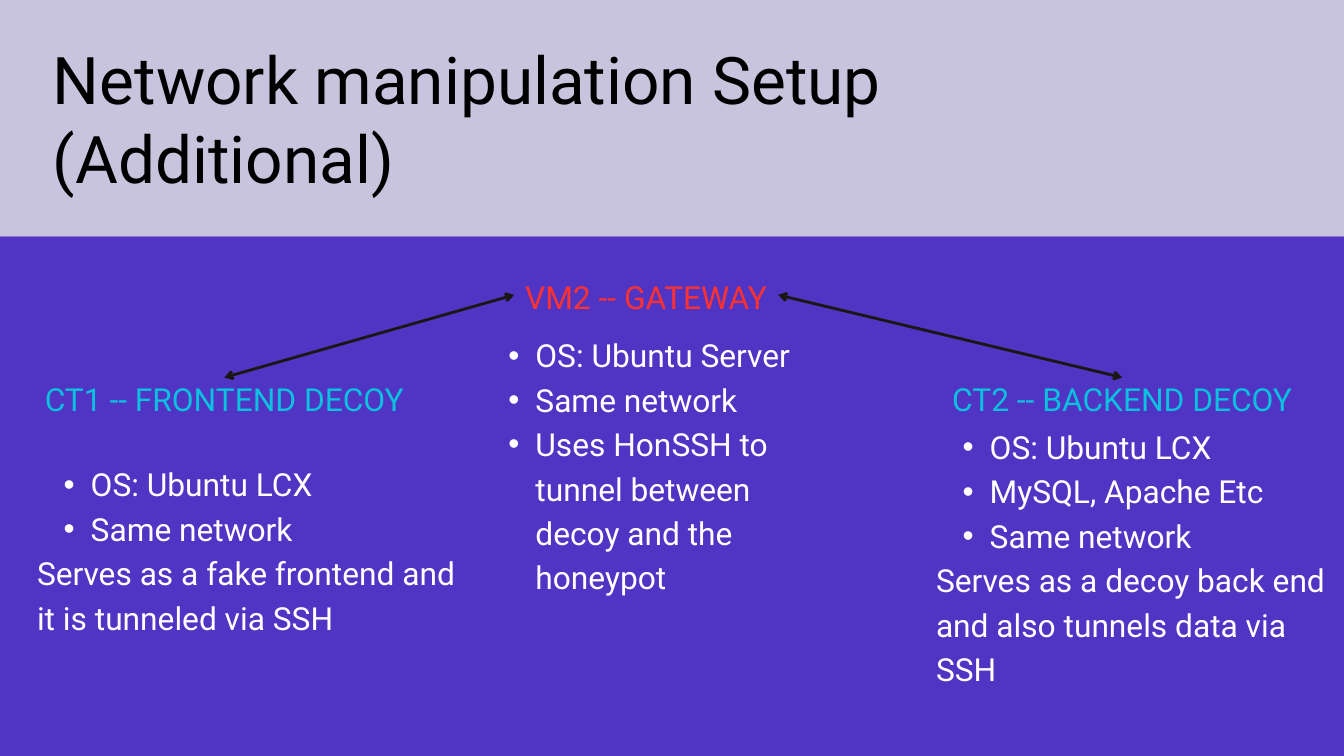
from dataclasses import dataclass

import pptx
import pptx.dml.color
import pptx.enum.shapes
import pptx.enum.text
import pptx.oxml.ns
import pptx.util
from lxml import etree

Cm = pptx.util.Cm
Pt = pptx.util.Pt
RGB = pptx.dml.color.RGBColor.from_string
qn = pptx.oxml.ns.qn
PP_ALIGN = pptx.enum.text.PP_ALIGN


@dataclass(frozen=True)
class Theme:
    font: str = "Roboto"
    backdrop: str = "5034C4"
    band: str = "C9C4DD"
    title: str = "000000"
    body: str = "FFFFFF"
    decoy: str = "0CC0DF"
    gateway: str = "FF3131"
    arrow: str = "181712"
    title_size: float = 70.4
    title_spacing: float = 84.5
    body_size: float = 34
    body_spacing: float = 47.6


THEME = Theme()
WIDTH, HEIGHT, BAND_HEIGHT = 50.8, 28.58, 8.94
HEADING_HEIGHT = 1.6


def add_panel(s, box, color):
    sp = s.shapes.add_shape(
        pptx.enum.shapes.MSO_SHAPE.RECTANGLE, *map(Cm, box))
    sp.shadow.inherit = False
    sp.fill.solid()
    sp.fill.fore_color.rgb = RGB(color)
    sp.line.fill.background()


def add_bullet(p):
    pPr = p._p.get_or_add_pPr()
    pPr.set("lvl", "1")
    pPr.set("marL", str(Cm(2.03)))
    pPr.set("indent", str(Cm(-1.02)))
    etree.SubElement(pPr, qn("a:buFont")).set("typeface", "Arial")
    etree.SubElement(pPr, qn("a:buChar")).set("char", "•")


def add_text(s, box, lines, color, size=THEME.body_size,
             spacing=THEME.body_spacing, align=PP_ALIGN.LEFT, bullets=0):
    tf = s.shapes.add_textbox(*map(Cm, box)).text_frame
    tf.word_wrap = True
    tf.auto_size = pptx.enum.text.MSO_AUTO_SIZE.SHAPE_TO_FIT_TEXT
    tf.margin_left = tf.margin_top = tf.margin_right = tf.margin_bottom = 0
    tf.text = "\n".join(lines)
    for i, p in enumerate(tf.paragraphs):
        p.alignment = align
        p.line_spacing = Pt(spacing)
        if i < bullets:
            add_bullet(p)
        for r in p.runs:
            r.font.name = THEME.font
            r.font.size = Pt(size)
            r.font.color.rgb = RGB(color)


def add_title_band(s, box, title):
    x, y, w, h = box
    add_panel(s, box, THEME.band)
    add_text(s, (x + 2, y + 1.47, w - 8.8, h - 3), [title], THEME.title,
             THEME.title_size, THEME.title_spacing)


def add_node(s, box, heading, color, body_offset, body_size, points, note=None):
    x, y, w = box
    dx, dy = body_offset
    add_text(s, (x, y, w, HEADING_HEIGHT), [heading], color,
             align=PP_ALIGN.CENTER)
    add_text(s, (x + dx, y + dy, *body_size), points + ([note] if note else []),
             THEME.body, bullets=len(points))


def add_double_arrow(s, start, end):
    line = s.shapes.add_connector(
        pptx.enum.shapes.MSO_CONNECTOR.STRAIGHT, *map(Cm, start + end))
    line.line.color.rgb = RGB(THEME.arrow)
    line.line.width = Pt(3)
    ln = line.line._get_or_add_ln()
    for tag in ("a:headEnd", "a:tailEnd"):
        etree.SubElement(ln, qn(tag)).set("type", "arrow")
    etree.SubElement(line._element.spPr, qn("a:effectLst"))


def add_network(s, box):
    x, y, w, h = box
    add_panel(s, box, THEME.backdrop)
    decoy_y = y + 5.16
    frontend = (x + 1.04, decoy_y, 14.88)
    gateway = (x + 19.43, y + 1.32, 9.98)
    backend = (x + 35.38, decoy_y, 14.07)

    add_node(s, frontend, "CT1 -- FRONTEND DECOY", THEME.decoy,
             (0.36, 3.25), (16.1, 6.6),
             ["OS: Ubuntu LCX", "Same network"],
             "Serves as a fake frontend and it is tunneled via SSH")
    add_node(s, gateway, "VM2 -- GATEWAY", THEME.gateway,
             (-1.22, 2.21), (13.03, 9.96),
             ["OS: Ubuntu Server", "Same network",
              "Uses HonSSH to tunnel between decoy and the honeypot"])
    add_node(s, backend, "CT2 -- BACKEND DECOY", THEME.decoy,
             (0, 1.83), (14.76, 9.96),
             ["OS: Ubuntu LCX", "MySQL, Apache Etc", "Same network"],
             "Serves as a decoy back end and also tunnels data via SSH")

    gateway_x, gateway_y, gateway_w = gateway
    link_y = gateway_y + 0.89
    frontend_top, backend_top = (
        (left + width / 2, top + 0.17)
        for left, top, width in (frontend, backend))
    add_double_arrow(s, frontend_top, (gateway_x, link_y))
    add_double_arrow(s, (gateway_x + gateway_w, link_y), backend_top)


def main():
    prs = pptx.Presentation()
    prs.slide_width, prs.slide_height = Cm(WIDTH), Cm(HEIGHT)
    s = prs.slides.add_slide(prs.slide_layouts[6])
    add_title_band(s, (0, 0, WIDTH, BAND_HEIGHT),
                   "Network manipulation Setup (Additional)")
    add_network(s, (0, BAND_HEIGHT, WIDTH, HEIGHT - BAND_HEIGHT))
    prs.save("out.pptx")


if __name__ == "__main__":
    main()
